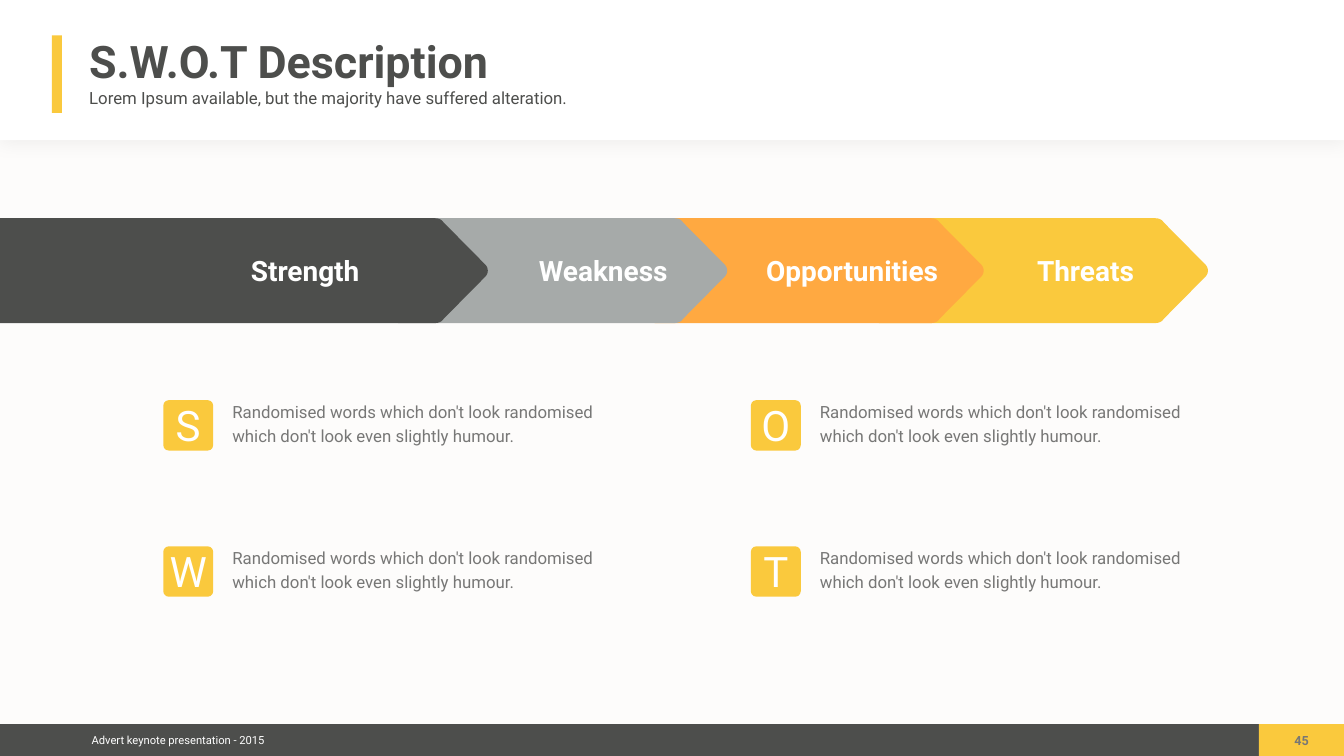
"""Build the S.W.O.T description slide."""
from dataclasses import dataclass

from lxml import etree
from pptx import Presentation
from pptx.dml.color import RGBColor
from pptx.enum.shapes import MSO_SHAPE
from pptx.enum.text import MSO_ANCHOR, MSO_AUTO_SIZE, PP_ALIGN
from pptx.oxml.ns import qn
from pptx.util import Inches, Pt

RECT, ROUNDED = MSO_SHAPE.RECTANGLE, MSO_SHAPE.ROUNDED_RECTANGLE
TOP, MIDDLE = MSO_ANCHOR.TOP, MSO_ANCHOR.MIDDLE
LEFT, CENTER = PP_ALIGN.LEFT, PP_ALIGN.CENTER
FIT, NO_FIT = MSO_AUTO_SIZE.SHAPE_TO_FIT_TEXT, MSO_AUTO_SIZE.NONE

FONT = "Roboto"
COLORS = {
    "background": "FDFCFB", "white": "FFFFFF", "dark": "4D4E4C", "yellow": "FAC93D",
    "orange": "FFA941", "silver": "A6AAA9", "text": "777776", "black": "000000",
}
BODY = "Randomised words which don't look randomised which don't look even slightly humour."
ARROW_TOP, ARROW_BOTTOM = 4.33, 6.41
TILE_W, TILE_H = 0.99, 1.0
CURVE_STEPS = 8

Box = tuple[float, float, float, float]
Point = tuple[float, float]


@dataclass
class Arrow:
    label: str
    color: str
    left: float
    right: float
    label_left: float
    label_width: float


@dataclass
class Entry:
    letter: str
    left: float
    top: float
    letter_top: float
    letter_width: float


ARROWS = [
    Arrow("Strength", "dark", -0.68, 9.68, 4.91, 2.29),
    Arrow("Weakness", "silver", 7.7, 14.43, 10.63, 2.68),
    Arrow("Opportunities", "orange", 12.79, 19.52, 15.14, 3.54),
    Arrow("Threats", "yellow", 17.24, 23.97, 20.53, 2.02),
]
ENTRIES = [
    Entry("S", 3.24, 7.94, 7.83, 0.65),
    Entry("W", 3.24, 10.84, 10.71, 0.87),
    Entry("O", 14.9, 7.94, 7.83, 0.69),
    Entry("T", 14.9, 10.84, 10.71, 0.59),
]


def rgb(name: str) -> RGBColor:
    return RGBColor.from_string(COLORS[name])


def paint(sp, color: str) -> None:
    sp.shadow.inherit = False
    sp.fill.solid()
    sp.fill.fore_color.rgb = rgb(color)
    sp.line.fill.background()


def add_block(shapes, box: Box, color: str, kind=RECT):
    sp = shapes.add_shape(kind, *map(Inches, box))
    paint(sp, color)
    return sp


def add_text(shapes, box: Box, text: str, size: int, color: str, bold: bool = False,
             align=CENTER, anchor=MIDDLE, inset: float = 0, wrap: bool = False,
             fit=FIT, spacing: float | None = None) -> None:
    tf = shapes.add_textbox(*map(Inches, box)).text_frame
    tf.margin_left = tf.margin_top = tf.margin_right = tf.margin_bottom = Inches(inset)
    tf.word_wrap = wrap
    tf.auto_size = fit
    tf.vertical_anchor = anchor
    p = tf.paragraphs[0]
    p.alignment = align
    p.line_spacing = spacing
    r = p.add_run()
    r.text = text
    r.font.name, r.font.size, r.font.bold = FONT, Pt(size), bold
    r.font.color.rgb = rgb(color)


def add_soft_shadow(sp) -> None:
    effects = sp._element.spPr.find(qn("a:effectLst"))
    shadow = etree.SubElement(effects, qn("a:outerShdw"), blurRad=str(Pt(26)),
                              dist=str(Pt(2)), dir="5400000", rotWithShape="0")
    color = etree.SubElement(shadow, qn("a:srgbClr"), val=COLORS["black"])
    etree.SubElement(color, qn("a:alpha"), val="5000")


def curve(a: Point, b: Point, c: Point, d: Point) -> list[Point]:
    points = []
    for step in range(CURVE_STEPS + 1):
        t = step / CURVE_STEPS
        weights = ((1 - t) ** 3, 3 * t * (1 - t) ** 2, 3 * t ** 2 * (1 - t), t ** 3)
        points.append((sum(w * q[0] for w, q in zip(weights, (a, b, c, d))),
                       sum(w * q[1] for w, q in zip(weights, (a, b, c, d)))))
    return points


def add_arrow(shapes, arrow: Arrow) -> None:
    x, r, top, mid = arrow.left, arrow.right, ARROW_TOP, (ARROW_TOP + ARROW_BOTTOM) / 2
    upper = curve((x, top + 0.2), (x, top + 0.09), (x + 0.1, top), (x + 0.21, top))
    upper += curve((r - 1.05, top), (r - 0.97, top), (r - 0.91, top + 0.03),
                   (r - 0.88, top + 0.08))
    upper += curve((r - 0.05, mid - 0.12), (r - 0.02, mid - 0.09), (r, mid - 0.05), (r, mid))
    lower = [(px, 2 * mid - py) for px, py in reversed(upper)]
    outline = [(Inches(px), Inches(py)) for px, py in upper + lower]
    builder = shapes.build_freeform(*outline[0])
    builder.add_line_segments(outline[1:], close=True)
    paint(builder.convert_to_shape(), arrow.color)


def add_entry(shapes, entry: Entry) -> None:
    add_text(shapes, (entry.left + 1.37, entry.top - 0.05, 7.71, 1.47), BODY, 24, "text",
             align=LEFT, anchor=TOP, wrap=True, fit=NO_FIT, spacing=1.2)
    badge = shapes.add_group_shape().shapes
    tile = add_block(badge, (entry.left, entry.top, TILE_W, TILE_H), "yellow", ROUNDED)
    tile.adjustments[0] = 0.11
    letter_left = entry.left + (TILE_W - entry.letter_width) / 2
    add_text(badge, (letter_left, entry.letter_top, entry.letter_width, 1.21),
             entry.letter, 60, "white")


def main() -> None:
    prs = Presentation()
    prs.slide_width, prs.slide_height = Inches(26.67), Inches(15)
    s = prs.slides.add_slide(prs.slide_layouts[6])
    s.background.fill.solid()
    s.background.fill.fore_color.rgb = rgb("background")
    shapes = s.shapes

    add_soft_shadow(add_block(shapes, (0, 0, 26.67, 2.78), "white"))
    add_block(shapes, (0, 14.37, 26.67, 0.63), "dark")
    add_text(shapes, (1.71, 14.46, 3.65, 0.45), "Advert keynote presentation - 2015",
             16, "white", inset=0.08)
    add_block(shapes, (24.98, 14.37, 1.69, 0.63), "yellow")
    add_block(shapes, (1.03, 0.7, 0.2, 1.54), "yellow")
    add_text(shapes, (1.69, 0.54, 8.1, 1.32), "S.W.O.T Description", 64, "dark",
             bold=True, align=LEFT, inset=0.08)
    add_text(shapes, (1.69, 1.67, 10.74, 0.6),
             "Lorem Ipsum available, but the majority have suffered alteration.",
             24, "dark", align=LEFT, anchor=TOP, inset=0.08, wrap=True)
    add_text(shapes, (25.6, 14.47, 0.46, 0.49), "45", 18, "text", bold=True,
             anchor=TOP, inset=0.08, fit=NO_FIT)

    for arrow in reversed(ARROWS):
        add_arrow(shapes, arrow)
    for arrow in ARROWS:
        add_text(shapes, (arrow.label_left, 4.94, arrow.label_width, 0.85),
                 arrow.label, 40, "white", bold=True)
    for entry in ENTRIES:
        add_entry(shapes, entry)
    prs.save("out.pptx")


if __name__ == "__main__":
    main()
